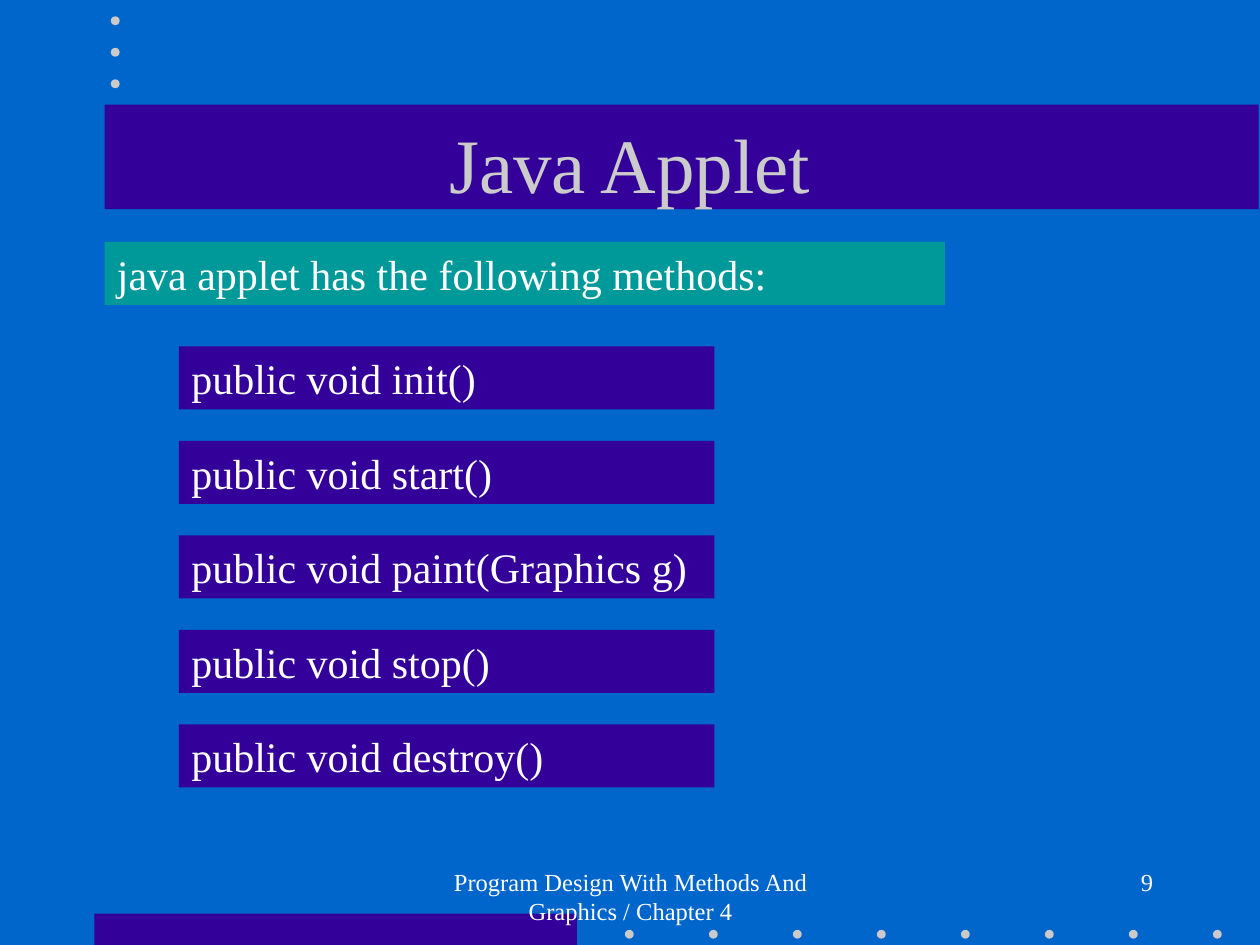
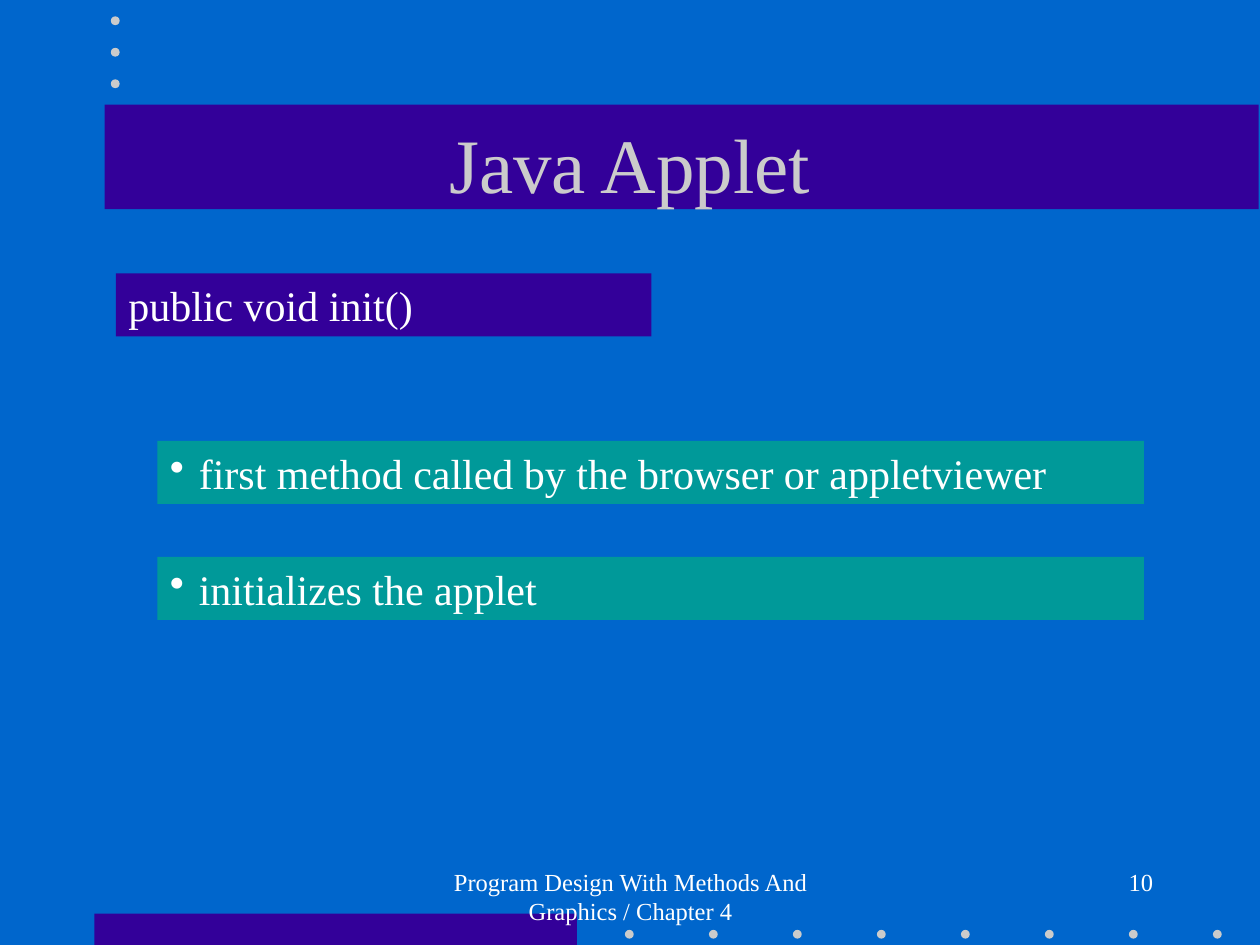
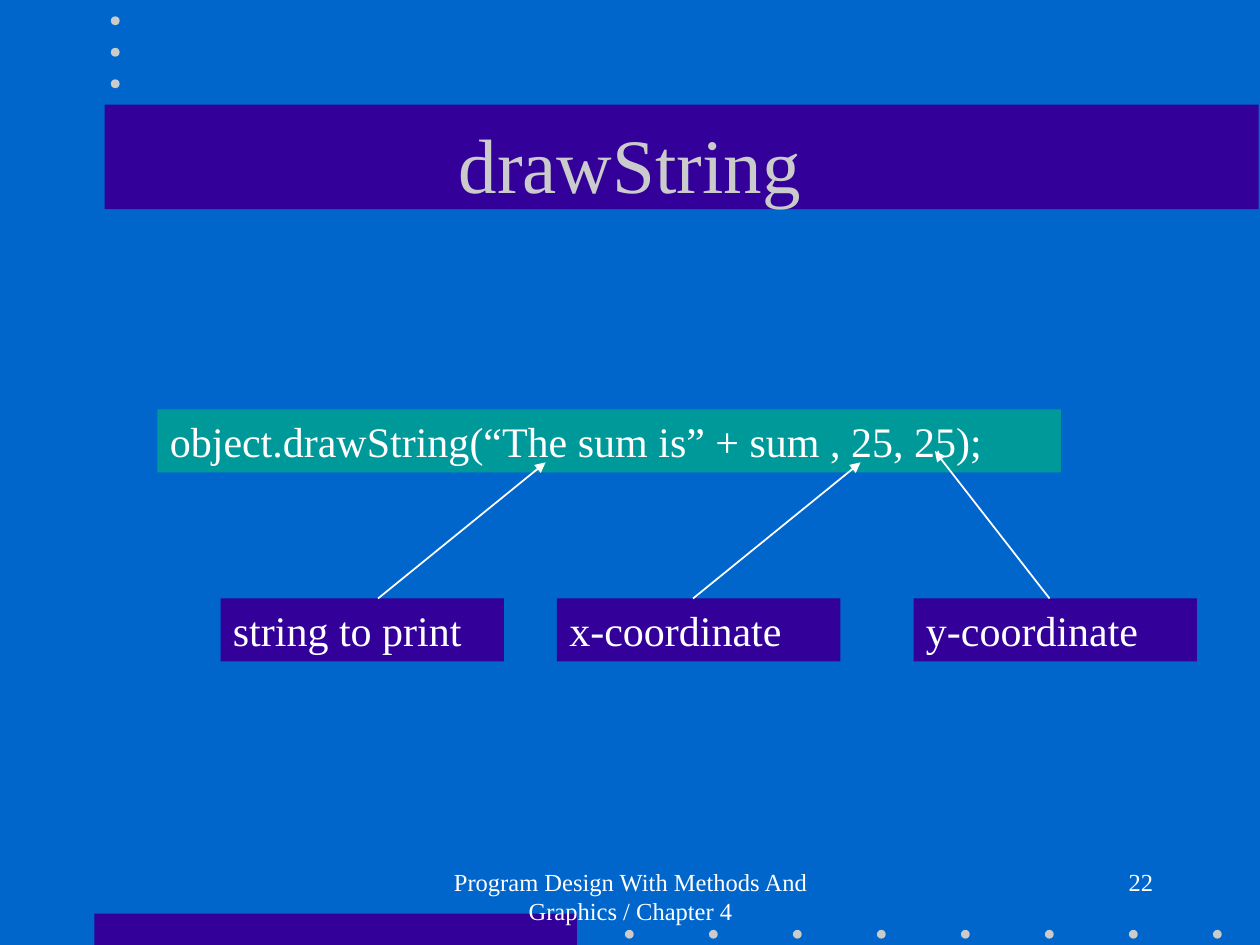
from lxml import etree
from pptx import Presentation
from pptx.dml.color import RGBColor
from pptx.enum import shapes, text
from pptx.oxml import ns
from pptx.util import Inches, Pt

COLORS = {
    "background": "0066CC",
    "band": "330099",
    "panel": "009999",
    "soft": "CBCBCB",
    "text": "FFFFFF",
}
FONT = "Times New Roman"
FOOTER = "Program Design With Methods And Graphics / Chapter 4"
ROW_HEIGHT = 0.5
DOT_SIZE = 0.07
BULLET_INDENT = 0.23


def color(name):
    return RGBColor.from_string(COLORS[name])


def add_filled(parent, kind, left, top, width, height, fill):
    shape = parent.add_shape(kind, Inches(left), Inches(top), Inches(width), Inches(height))
    shape.shadow.inherit = False
    shape.fill.solid()
    shape.fill.fore_color.rgb = color(fill)
    shape.line.fill.background()
    return shape


def write(shape, words, size, align=text.PP_ALIGN.LEFT, ink="text", before=0,
          anchor=text.MSO_ANCHOR.TOP):
    """Put one formatted paragraph in the shape and return it."""
    frame = shape.text_frame
    frame.word_wrap = True
    frame.auto_size = text.MSO_AUTO_SIZE.NONE
    frame.vertical_anchor = anchor
    para = frame.paragraphs[0]
    para.alignment = align
    para.space_before = Pt(before)
    span = para.add_run()
    span.text = words
    span.font.name = FONT
    span.font.size = Pt(size)
    span.font.color.rgb = color(ink)
    return para


def add_bullet(para):
    properties = para._p.get_or_add_pPr()
    properties.set("marL", str(Inches(BULLET_INDENT)))
    properties.set("indent", str(-Inches(BULLET_INDENT)))
    etree.SubElement(properties, ns.qn("a:buChar")).set("char", "•")


def add_row(page, words, left, top, width, fill="band", bullet=False):
    box = add_filled(page.shapes, shapes.MSO_SHAPE.RECTANGLE,
                     left, top, width, ROW_HEIGHT, fill)
    para = write(box, words, 24, before=15)
    if bullet:
        add_bullet(para)


def add_arrow(page, start, end):
    arrow = page.shapes.add_connector(
        shapes.MSO_CONNECTOR.STRAIGHT, *(Inches(value) for value in start + end))
    arrow.line.color.rgb = color("text")
    arrow.line.width = Pt(1)
    etree.SubElement(arrow.line._get_or_add_ln(), ns.qn("a:tailEnd")).set("type", "triangle")
    etree.SubElement(arrow.element.spPr, ns.qn("a:effectLst"))


def add_footer_text(page, words, left, width, align):
    box = page.shapes.add_textbox(Inches(left), Inches(6.83), Inches(width), Inches(0.5))
    write(box, words, 14, align, before=8.8)


def decorate_layout(deck, layout):
    """Give the layout the background, bands and dots that all slides share."""
    background = deck.slide_master.background.fill
    background.solid()
    background.fore_color.rgb = color("background")

    page = deck.slides[0]
    group = page.shapes.add_group_shape()
    for band in ((0.75, 7.25, 3.83, 0.25), (0.83, 0.83, 9.16, 0.83)):
        add_filled(group.shapes, shapes.MSO_SHAPE.RECTANGLE, *band, "band")
    bottom_dots = [(4.96 + i * 2 / 3, 7.38) for i in range(8)]
    top_dots = [(0.88, 0.13 + i * 0.25) for i in range(3)]
    for left, top in bottom_dots + top_dots:
        add_filled(group.shapes, shapes.MSO_SHAPE.OVAL, left, top, DOT_SIZE, DOT_SIZE, "soft")
    layout.shapes.element.append(group.element)


def add_page(deck, layout, title, number):
    page = deck.slides.add_slide(layout)
    heading = page.shapes.title
    heading.left, heading.top = Inches(0.75), Inches(0.67)
    heading.width, heading.height = Inches(8.5), Inches(1.25)
    write(heading, title, 44, text.PP_ALIGN.CENTER, "soft", anchor=text.MSO_ANCHOR.MIDDLE)
    add_footer_text(page, FOOTER, 3.42, 3.17, text.PP_ALIGN.CENTER)
    add_footer_text(page, str(number), 7.17, 2.08, text.PP_ALIGN.RIGHT)
    return page


def fill_methods(page):
    add_row(page, "java applet has the following methods:", 0.83, 1.92, 6.67, "panel")
    methods = ("init()", "start()", "paint(Graphics g)", "stop()", "destroy()")
    for i, method in enumerate(methods):
        add_row(page, f"public void {method}", 1.42, 2.75 + i * 0.75, 4.25)


def fill_init(page):
    add_row(page, "public void init()", 0.92, 2.17, 4.25)
    facts = ("first method called by the browser or appletviewer", "initializes the applet")
    for i, fact in enumerate(facts):
        add_row(page, fact, 1.25, 3.5 + i * 0.92, 7.83, "panel", bullet=True)


def fill_draw_string(page):
    add_row(page, "object.drawString(“The sum is” + sum , 25, 25);", 1.25, 3.25, 7.17, "panel")
    arguments = (
        ("string to print", 1.75, 3, (4.33, 3.67)),
        ("x-coordinate", 4.42, 5.5, (6.83, 3.67)),
        ("y-coordinate", 7.25, 8.33, (7.42, 3.58)),
    )
    label_top = 4.75
    for label, left, arrow_left, target in arguments:
        add_row(page, label, left, label_top, 2.25)
        add_arrow(page, (arrow_left, label_top), target)


def main():
    deck = Presentation()
    deck.slide_width, deck.slide_height = Inches(10), Inches(7.5)
    layout = deck.slide_layouts.get_by_name("Title Only")
    fill_methods(add_page(deck, layout, "Java Applet", 9))
    fill_init(add_page(deck, layout, "Java Applet", 10))
    fill_draw_string(add_page(deck, layout, "drawString", 22))
    decorate_layout(deck, layout)
    deck.save("out.pptx")


if __name__ == "__main__":
    main()
